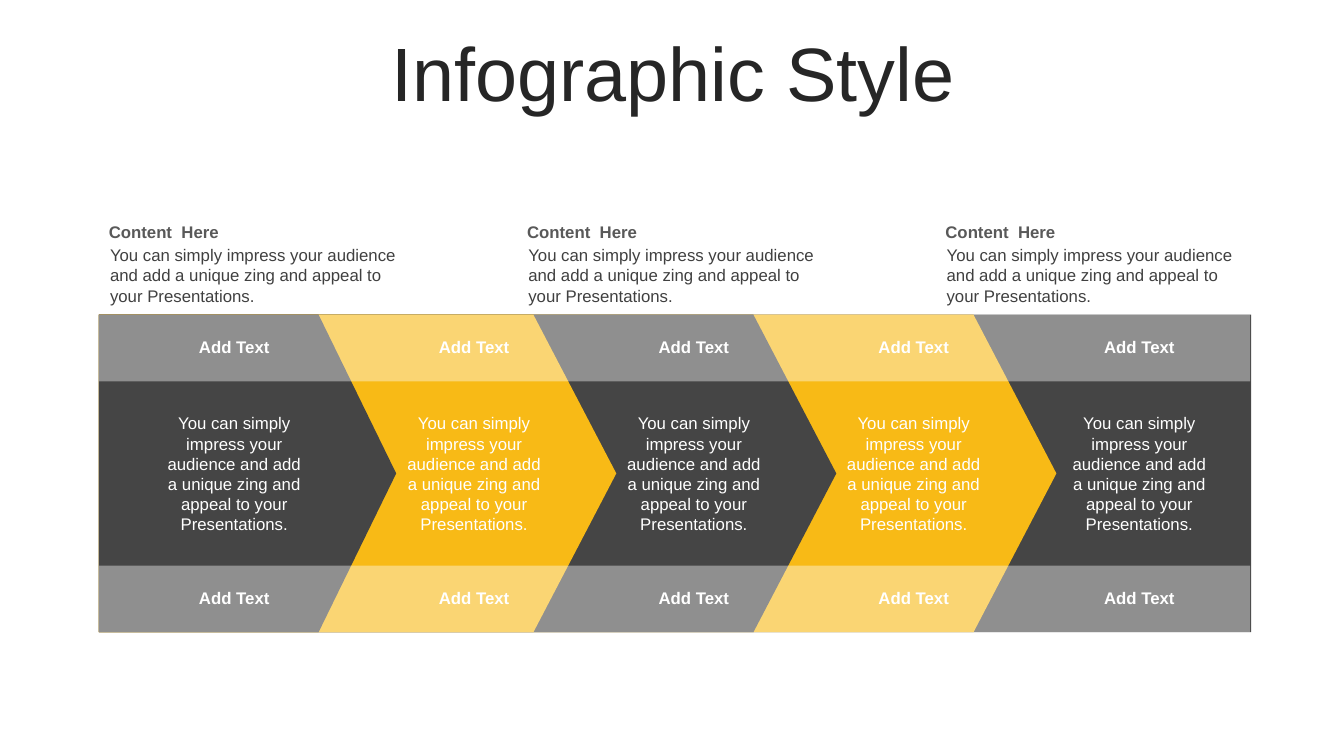
from lxml import etree
from pptx import Presentation
from pptx import util as u
from pptx.dml.color import RGBColor
from pptx.enum import shapes, text
from pptx.oxml import ns

Pt = u.Pt
DARK, GOLD, WHITE = "454545", "F8BA16", "FFFFFF"
BLURB = ("You can simply impress your audience and add a unique zing "
         "and appeal to your Presentations.")

deck = Presentation()
deck.slide_width, deck.slide_height = Pt(960), Pt(540)
slide = deck.slides.add_slide(deck.slide_layouts[6])


def add_text(words, left, top, width, height, size=12, color=WHITE, bold=False,
             align=text.PP_ALIGN.CENTER, anchor=text.MSO_ANCHOR.TOP, spacing=1.0):
    frame = slide.shapes.add_textbox(Pt(left), Pt(top), Pt(width), Pt(height)).text_frame
    frame.word_wrap = True
    frame.vertical_anchor = anchor
    paragraph = frame.paragraphs[0]
    paragraph.alignment = align
    paragraph.line_spacing = spacing
    run = paragraph.add_run()
    run.text = words
    run.font.name = "Arial"
    run.font.size = Pt(size)
    run.font.bold = bold
    run.font.color.rgb = RGBColor.from_string(color)


def add_block(kind, left, top, width, height, color):
    block = slide.shapes.add_shape(kind, Pt(left), Pt(top), Pt(width), Pt(height))
    block.shadow.inherit = False
    block.fill.solid()
    block.fill.fore_color.rgb = RGBColor.from_string(color)
    block.line.fill.background()
    return block


# Title
add_text("Infographic Style", 25.2, 26.6, 911.5, 56.9, size=54, color="262626",
         anchor=text.MSO_ANCHOR.MIDDLE, spacing=0.9)

# Overlapping arrows, longest at the back
band_left, band_top, band_height = 70.6, 224.8, 226.8
for step in range(4, -1, -1):
    last = step == 4
    width = 823 if last else 212.4 + 157.2 * step
    arrow = add_block(shapes.MSO_SHAPE.PENTAGON, band_left, band_top, width, band_height,
                      GOLD if step % 2 else DARK)
    arrow.adjustments[0] = 0 if last else 0.261

# Pale strips along the top and bottom edges
strip_height = 47.6
for strip_top in (band_top, band_top + band_height - strip_height):
    strip = add_block(shapes.MSO_SHAPE.RECTANGLE, band_left, strip_top, 822.4,
                      strip_height, WHITE)
    strip_color = strip.fill._xPr.find(".//" + ns.qn("a:srgbClr"))
    etree.SubElement(strip_color, ns.qn("a:alpha"), val="40000")

# Labels and text of each step
for step_left in (110.9, 282.2, 439.2, 596.2, 757.4):
    for label_top in (236.9, 416.2):
        add_text("Add Text", step_left, label_top, 113, 21.8, bold=True)
    add_text(BLURB, step_left, 291.6, 113, 94.5)

# Notes above the arrows
for column in range(3):
    note_left = band_left + 298.8 * column
    add_text("Content  Here", note_left, 154.8, 224.6, 21.8, color="595959", bold=True,
             align=text.PP_ALIGN.LEFT, anchor=text.MSO_ANCHOR.MIDDLE)
    add_text(BLURB, note_left + 0.9, 171.4, 223.9, 50.9, color="404040",
             align=text.PP_ALIGN.LEFT)

deck.save("out.pptx")
